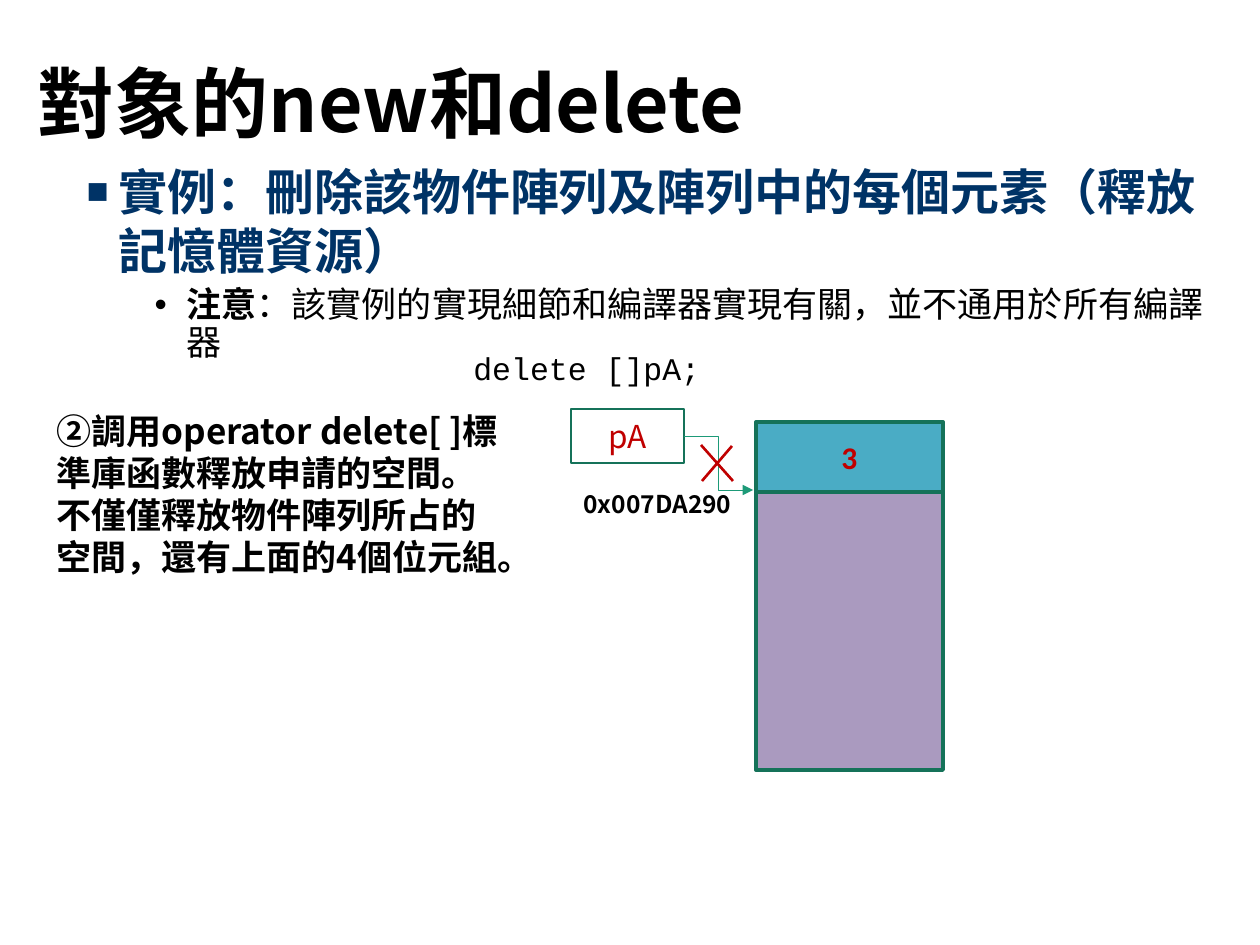
from dataclasses import dataclass

from lxml.etree import SubElement as Sub
from pptx import Presentation
from pptx.dml.color import RGBColor as RGB
from pptx.enum.shapes import MSO_CONNECTOR as Link, MSO_SHAPE as Kind
from pptx.enum.text import MSO_ANCHOR as Anchor, MSO_AUTO_SIZE as Fit, PP_ALIGN as Align
from pptx.oxml.ns import qn
from pptx.util import Pt

SCALE = 914400 / 126  # EMU in one px


@dataclass(frozen=True)
class Theme:
    sans: str = "Noto Sans CJK SC"
    code: str = "Courier New"
    plain: str = "Calibri"
    black: str = "000000"
    navy: str = "003366"
    red: str = "C00000"
    green: str = "157259"
    teal: str = "1D9A78"
    blue: str = "4AACC5"
    mauve: str = "AA9ABF"
    white: str = "FFFFFF"
    title: int = 44
    head: int = 28
    text: int = 20
    label: int = 18
    note: int = 14


T = Theme()


def px(*vals):
    return [round(v * SCALE) for v in vals]


def style(para, size, color=T.black, face=T.sans, bold=None):
    font = para.font
    font.size, font.bold, font.name = Pt(size), bold, face
    font.color.rgb = RGB.from_string(color)
    # East Asian text always uses the sans face
    Sub(font._element, qn("a:ea"), typeface=T.sans)


def place(shape, box):
    shape.left, shape.top, shape.width, shape.height = px(*box)
    shape.text_frame.auto_size = Fit.NONE
    return shape.text_frame


def bullet(para, sign, left, hang, pct=100):
    props = para._p.get_or_add_pPr()
    left, hang = px(left, hang)
    props.set("marL", str(left))
    props.set("indent", str(-hang))
    Sub(props, qn("a:buSzPct"), val=str(pct * 1000))
    Sub(props, qn("a:buFont"), typeface="Arial")
    Sub(props, qn("a:buChar"), char=sign)


def note(slide, box, lines, size, face=T.sans, bold=None):
    frame = slide.shapes.add_textbox(*px(*box)).text_frame
    frame.word_wrap = True
    frame.text = "\n".join(lines)
    for para in frame.paragraphs:
        style(para, size, face=face, bold=bold)


def block(slide, box, fill, width, text="", face=T.sans, bold=None):
    shape = slide.shapes.add_shape(Kind.RECTANGLE, *px(*box))
    shape.shadow.inherit = False
    shape.fill.solid()
    shape.fill.fore_color.rgb = RGB.from_string(fill)
    shape.line.color.rgb = RGB.from_string(T.green)
    shape.line.width = Pt(width)
    if text:
        frame = shape.text_frame
        frame.vertical_anchor = Anchor.MIDDLE
        para = frame.paragraphs[0]
        para.text, para.alignment = text, Align.CENTER
        style(para, T.label, T.red, face, bold)


def line(slide, ends, color, width, kind=Link.STRAIGHT, arrow=False):
    link = slide.shapes.add_connector(kind, *px(*ends))
    link.line.color.rgb = RGB.from_string(color)
    link.line.width = Pt(width)
    if arrow:
        Sub(link.line._get_or_add_ln(), qn("a:tailEnd"), type="triangle")
    Sub(link._element.spPr, qn("a:effectLst"))


def heading(slide):
    frame = place(slide.shapes.title, (25, 16, 1086, 183))
    frame.vertical_anchor = Anchor.MIDDLE
    para = frame.paragraphs[0]
    para.text, para.alignment, para.line_spacing = "對象的new和delete", Align.LEFT, 0.9
    style(para, T.title, bold=True)


def points(slide):
    frame = place(slide.placeholders[1], (74, 155, 1176, 654))
    first, second = frame.paragraphs[0], frame.add_paragraph()

    first.text = "實例：刪除該物件陣列及陣列中的每個元素（釋放記憶體資源）"
    first.space_before = Pt(0)
    bullet(first, "■", 32, 32, 75)
    style(first, T.head, T.navy, T.code, True)

    second.level, second.line_spacing, second.space_before = 1, 0.9, Pt(5)
    bullet(second, "•", 100, 32)
    style(second, T.text, face=T.code)
    for text, bold in (("注意", True),
                       ("：該實例的實現細節和編譯器實現有關，並不通用於所有編譯器", False)):
        run = second.add_run()
        run.text, run.font.bold = text, bold


def main():
    deck = Presentation()
    deck.slide_width, deck.slide_height = px(1260, 945)
    slide = deck.slides.add_slide(deck.slide_layouts[1])

    # Title and list
    heading(slide)
    points(slide)

    # Explanation, address and code
    note(slide, (44, 403, 476, 224),
         ["②調用operator delete[ ]標準庫函數釋放申請的空間。",
          "不僅僅釋放物件陣列所占的空間，還有上面的4個位元組。"], T.text, bold=True)
    note(slide, (571, 483, 185, 43), ["0x007DA290"], T.note, bold=True)
    note(slide, (461, 343, 922, 50), ["delete []pA;"], T.label, T.code)

    # Memory: objects below, count above, pointer at the side
    block(slide, (756, 492, 187, 278), T.mauve, 2.25)
    block(slide, (756, 422, 187, 70), T.blue, 2.25, "3", T.plain, True)
    block(slide, (571, 409, 113, 54), T.white, 1, "pA")

    # Pointer arrow, crossed out
    line(slide, (684, 436, 753, 490), T.teal, 0.5, Link.ELBOW, True)
    for ends in ((701, 445, 733, 481), (732, 446, 702, 481)):
        line(slide, ends, T.red, 1.5)

    deck.save("out.pptx")


if __name__ == "__main__":
    main()
